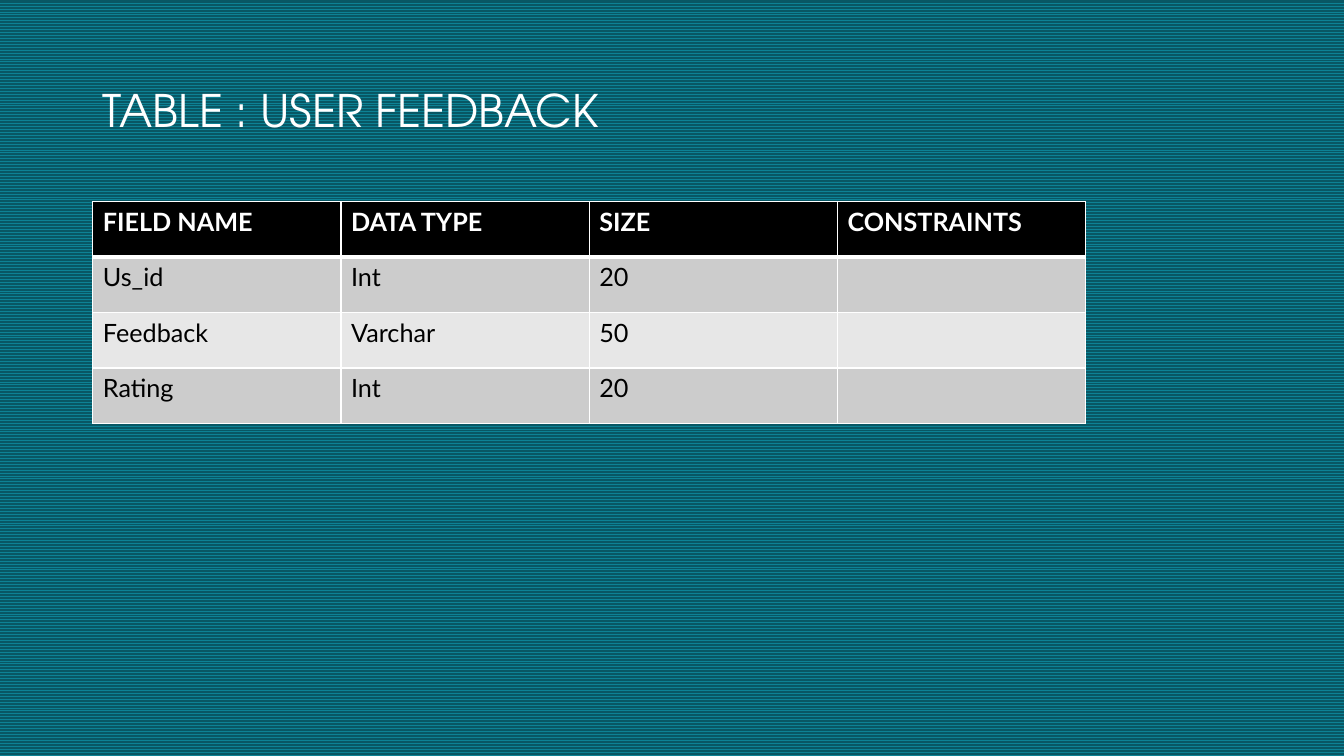
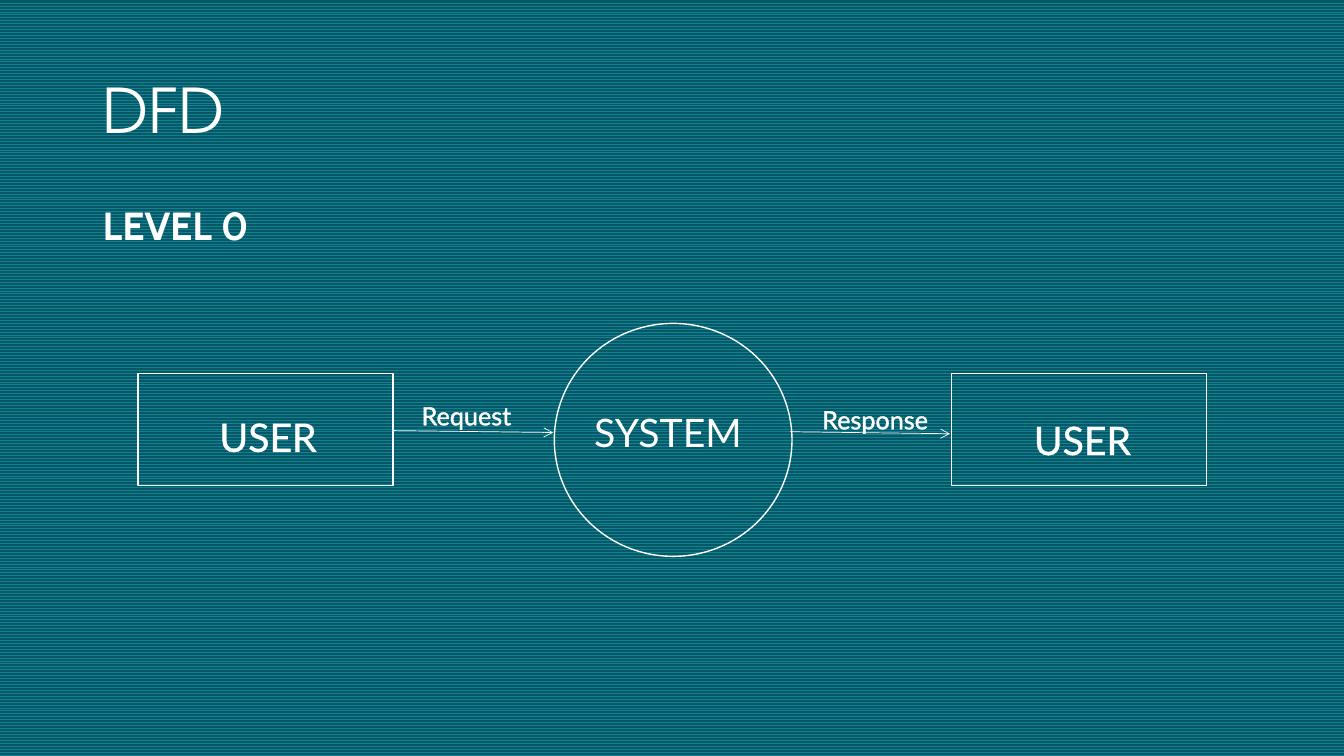
from lxml.etree import SubElement as Sub
from pptx import Presentation
from pptx.dml.color import RGBColor
from pptx.enum.dml import MSO_PATTERN
from pptx.enum.shapes import MSO_CONNECTOR as Link, MSO_SHAPE as Kind
from pptx.enum.text import MSO_ANCHOR as Anchor, PP_ALIGN as Align
from pptx.oxml import parse_xml
from pptx.oxml.ns import nsdecls, qn
from pptx.util import Cm, Pt

WHITE, BLACK = "FFFFFF", "000000"
TEAL, DEEP = "0D8295", "085764"
BANDS = ("CCCCCC", "E7E7E7")
HEAD, BODY, LEVEL = "TeX Gyre Adventor", "Lato", "Cabin"
TITLE = (2.34, 1.02, 29.21, 3.68)
MAIN = (2.34, 5.08, 29.21, 12.09)


def color(code):
    """Turn a hex string into a colour."""
    return RGBColor.from_string(code)


def edge(tag, width):
    """Build a white line element of the given width in points."""
    return parse_xml(
        f'<a:{tag} {nsdecls("a")} w="{Pt(width)}"><a:solidFill>'
        f'<a:srgbClr val="{WHITE}"/></a:solidFill></a:{tag}>')


def write(frame, text, size=18, font=BODY, ink=WHITE, bold=False,
          align=Align.LEFT, anchor=Anchor.TOP, space=1.0, outline=0):
    """Write one formatted paragraph into a text frame."""
    frame.word_wrap = True
    frame.vertical_anchor = anchor
    para = frame.paragraphs[0]
    para.alignment, para.line_spacing = align, space
    run = para.add_run()
    run.text = text
    style = run.font
    style.size, style.name, style.bold = Pt(size), font, bold
    style.color.rgb = color(ink)
    if outline:
        style.fill  # the outline goes ahead of the fill
        run._r.get_or_add_rPr().insert(0, edge("ln", outline))


def label(slide, box, text, **look):
    """Add a text box in the given box."""
    area = slide.shapes.add_textbox(*map(Cm, box))
    write(area.text_frame, text, **look)


def page(deck, title, size):
    """Add a blank slide with its title."""
    slide = deck.slides.add_slide(deck.slide_layouts[6])
    label(slide, TITLE, title, size=size, font=HEAD,
          anchor=Anchor.MIDDLE, space=0.9)
    return slide


def grid(slide, box, rows):
    """Fill the box with a table: dark header, banded rows, white rules."""
    table = slide.shapes.add_table(
        len(rows), len(rows[0]), *map(Cm, box)).table
    for r, row in enumerate(rows):
        head = r == 0
        fill = BLACK if head else BANDS[(r - 1) % 2]
        rules = {"lnL": 1, "lnR": 1, "lnT": 3 if r == 1 else 1,
                 "lnB": 3 if head else 1}
        for c, text in enumerate(row):
            cell = table.cell(r, c)
            cell.fill.solid()
            cell.fill.fore_color.rgb = color(fill)
            if text:
                write(cell.text_frame, text, bold=head,
                      ink=WHITE if head else BLACK)
            props = cell._tc.get_or_add_tcPr()
            for spot, (tag, width) in enumerate(rules.items()):
                props.insert(spot, edge(tag, width))


def node(slide, kind, box):
    """Draw an unfilled shape with a white outline."""
    shape = slide.shapes.add_shape(kind, *map(Cm, box))
    shape.shadow.inherit = False
    shape.fill.background()
    shape.line.color.rgb = color(WHITE)
    shape.line.width = Pt(1)


def arrow(slide, ends):
    """Draw a thin white arrow between two points."""
    link = slide.shapes.add_connector(Link.STRAIGHT, *map(Cm, ends))
    link.line.color.rgb = color(WHITE)
    link.line.width = Pt(0.5)
    Sub(link.line._get_or_add_ln(), qn("a:tailEnd"), type="arrow")
    Sub(link._element.spPr, qn("a:effectLst"))


def flow(slide, box):
    """Draw the level and its data flow inside the box."""
    left, top = box[:2]

    def at(x, y, *size):
        """Shift a place to the box."""
        return (left + x, top + y, *size)

    label(slide, box, "LEVEL 0", size=28, font=LEVEL, bold=True, space=0.9)
    for kind, spot in ((Kind.RECTANGLE, (1.14, 4.34, 6.43, 2.82)),
                       (Kind.OVAL, (11.63, 3.07, 5.99, 5.87)),
                       (Kind.RECTANGLE, (21.64, 4.34, 6.43, 2.82))):
        node(slide, kind, at(*spot))
    for x, y in ((7.57, 5.77), (17.57, 5.8)):
        arrow(slide, at(x, y) + at(x + 4.03, y + 0.05))
    for text, size, spot, outline in (
            ("USER", 28, (1.2, 4.39, 6.43, 2.24), 1.45),
            ("USER", 28, (21.75, 4.47, 6.38, 2.24), 1.45),
            ("SYSTEM", 28, (12.16, 5.08, 4.67, 1.45), 0),
            ("Request", 18, (6.2, 4.09, 6.43, 1.8), 1.45),
            ("Response", 18, (16.5, 4.19, 6.43, 1.8), 1.45)):
        label(slide, at(*spot), text, size=size, align=Align.CENTER,
              anchor=Anchor.BOTTOM, outline=outline)


def build():
    """Make the deck and save it."""
    deck = Presentation()
    deck.slide_width, deck.slide_height = Cm(33.87), Cm(19.05)
    back = deck.slide_master.background.fill
    back.patterned()
    back.pattern = MSO_PATTERN.ZIG_ZAG
    back.fore_color.rgb, back.back_color.rgb = color(TEAL), color(DEEP)

    grid(page(deck, "TABLE : USER FEEDBACK", 32), (*MAIN[:2], 25.02, 5.59), (
        ("FIELD NAME", "DATA TYPE", "SIZE", "CONSTRAINTS"),
        ("Us_id", "Int", "20", ""),
        ("Feedback", "Varchar", "50", ""),
        ("Rating", "Int", "20", "")))
    flow(page(deck, "DFD", 44), MAIN)
    deck.save("out.pptx")


build()
